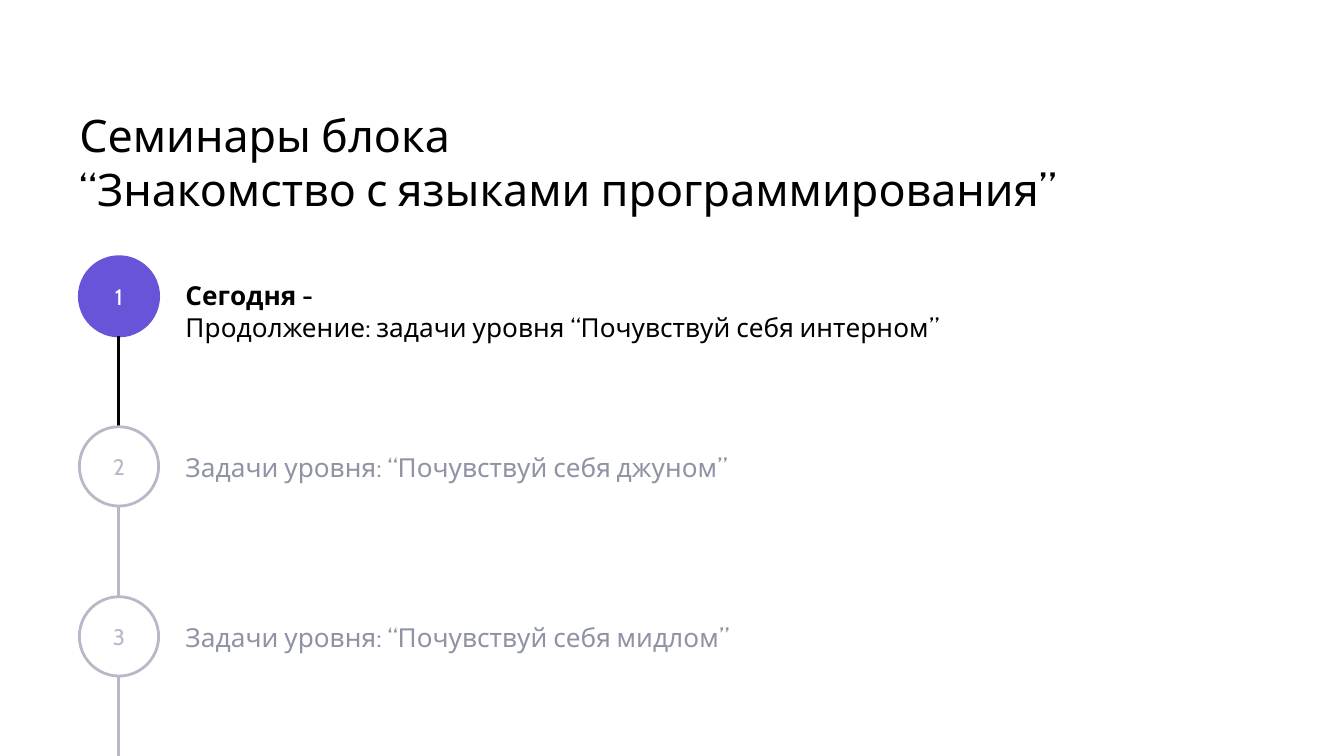
"""Build the seminar timeline slide."""
from lxml import etree
from pptx import Presentation
from pptx import util as u
from pptx.dml.color import RGBColor
from pptx.enum import shapes, text
from pptx.oxml.ns import qn

BLACK = RGBColor(0x00, 0x00, 0x00)
WHITE = RGBColor(0xFF, 0xFF, 0xFF)
VIOLET = RGBColor(0x66, 0x54, 0xD9)
SILVER = RGBColor(0xB7, 0xB9, 0xC8)
GREY = RGBColor(0x8F, 0x93, 0xA3)

WIDTH = 10
HEIGHT = WIDTH * 9 / 16
LEFT, TOP = 0.59, 1.91
SIZE = 0.59
STEP = WIDTH * 0.1265
AXIS = LEFT + SIZE / 2
TEXT_LEFT = 1.38

STEPS = [
    (["Сегодня -", "Продолжение: задачи уровня “Почувствуй себя интерном”"],
     1.98, 5.79, 0.61, BLACK, VIOLET, VIOLET, WHITE, BLACK),
    (["Задачи уровня: “Почувствуй себя джуном”"],
     3.26, 4.86, 0.41, GREY, WHITE, SILVER, SILVER, SILVER),
    (["Задачи уровня: “Почувствуй себя мидлом”"],
     4.52, 4.93, 0.41, GREY, WHITE, SILVER, SILVER, SILVER),
]


def style(p, size, color, bold=False):
    for r in p.runs:
        r.font.name = "Cabin"
        r.font.size = u.Pt(size)
        r.font.bold = bold
        r.font.color.rgb = color


def add_text(s, box, lines, size, color, margins):
    tf = s.shapes.add_textbox(*map(u.Inches, box)).text_frame
    tf.word_wrap = True
    tf.margin_left, tf.margin_top, tf.margin_right, tf.margin_bottom = map(u.Inches, margins)
    tf.text = "\n".join(lines)
    for p in tf.paragraphs:
        style(p, size, color)
    return tf


prs = Presentation()
prs.slide_width, prs.slide_height = u.Inches(WIDTH), u.Inches(HEIGHT)
s = prs.slides.add_slide(prs.slide_layouts[6])

add_text(s, (LEFT, 0.79, WIDTH - 2 * LEFT, 0.35),
         ["Семинары блока", "“Знакомство с языками программирования”"],
         24, BLACK, (0, 0.01, 0, 0))

for i, (lines, text_top, width, height, color, fill, edge, digit, link) in enumerate(STEPS):
    top = TOP + i * STEP
    bottom = top + SIZE

    tf = add_text(s, (TEXT_LEFT, text_top, width, height), lines, 14, color,
                  (0, 0.1, 0.1, 0.1))
    if i == 0:
        style(tf.paragraphs[0], 14, color, bold=True)

    sp = s.shapes.add_shape(shapes.MSO_SHAPE.OVAL,
                            *map(u.Inches, (LEFT, top, SIZE, SIZE)))
    sp.shadow.inherit = False
    sp.fill.solid()
    sp.fill.fore_color.rgb = fill
    sp.line.color.rgb = edge
    sp.line.width = u.Pt(1.5)
    tf = sp.text_frame
    tf.margin_left = tf.margin_top = tf.margin_right = tf.margin_bottom = u.Inches(0.1)
    tf.vertical_anchor = text.MSO_ANCHOR.MIDDLE
    tf.text = str(i + 1)
    p = tf.paragraphs[0]
    p.alignment = text.PP_ALIGN.CENTER
    style(p, 12, digit)

    end = min(top + STEP, HEIGHT)
    line = s.shapes.add_connector(shapes.MSO_CONNECTOR.STRAIGHT,
                                  *map(u.Inches, (AXIS, bottom, AXIS, end)))
    line.line.color.rgb = link
    line.line.width = u.Pt(1.5)
    etree.SubElement(line._element.spPr, qn("a:effectLst"))

prs.save("out.pptx")
